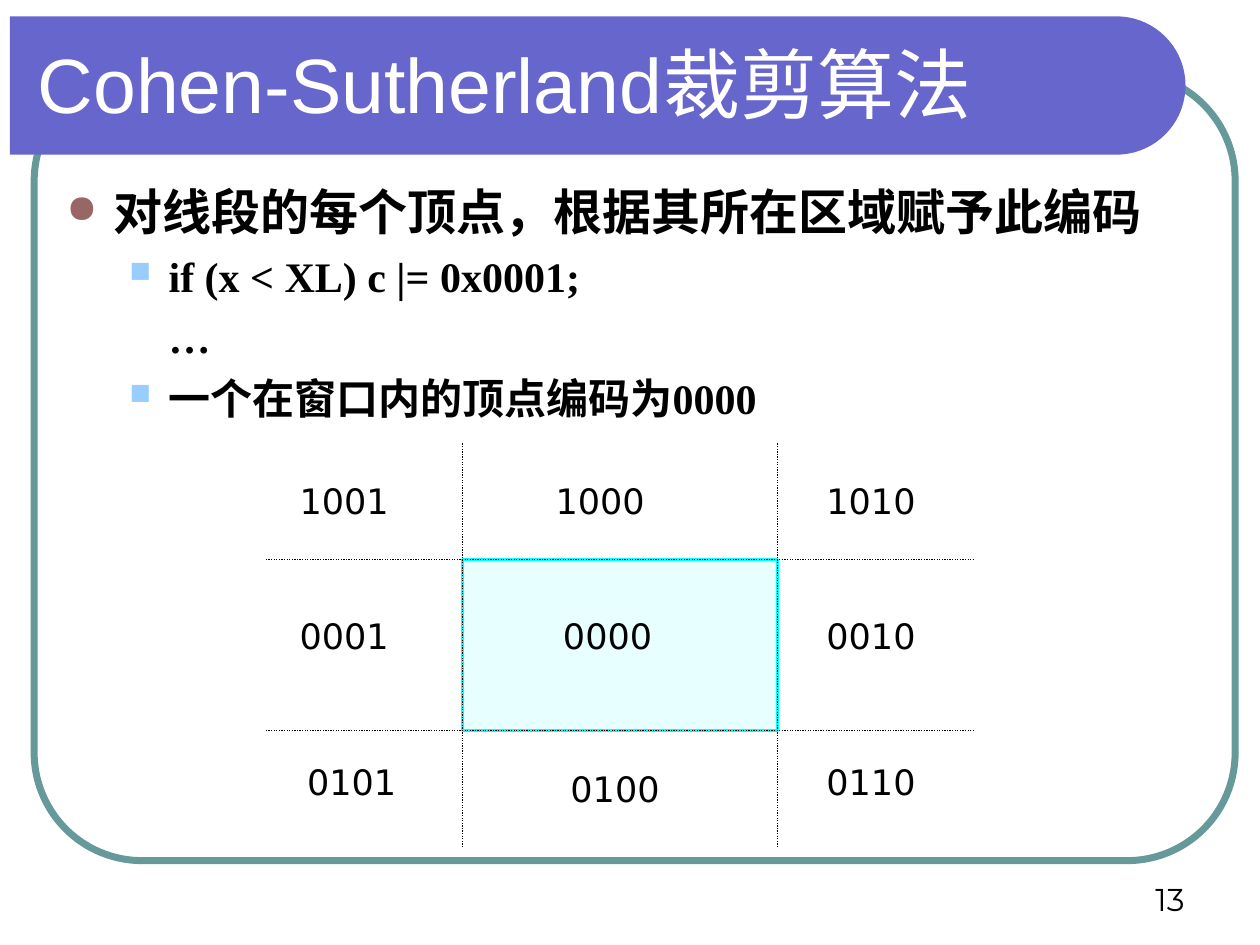
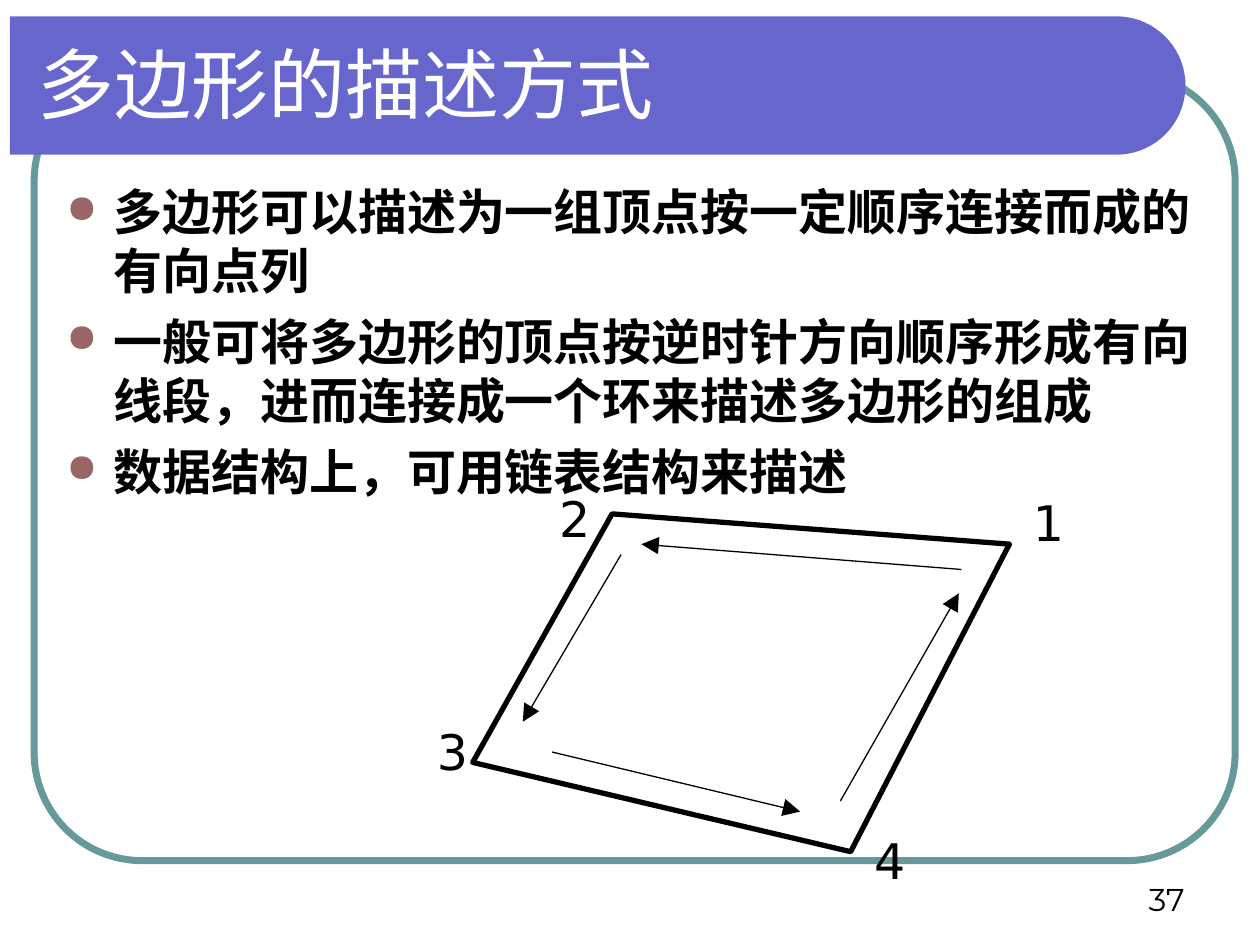
import math
from dataclasses import dataclass
from typing import NamedTuple, Optional

from lxml import etree
from pptx import Presentation
from pptx import util as u
from pptx.dml.color import RGBColor
from pptx.enum import dml, shapes, text
from pptx.oxml.ns import qn


@dataclass(frozen=True)
class Theme:
    ink: str = "000000"
    paper: str = "FFFFFF"
    band: str = "6666CC"
    frame: str = "669999"
    window_fill: str = "CCFFFF"
    window_edge: str = "00FFFF"
    title_font: str = "Arial"
    body_font: str = "Times New Roman"
    label_font: str = "DejaVu Sans"
    number_font: str = "Montserrat"
    title_size: int = 44
    vertex_size: int = 28
    code_size: int = 20
    number_size: int = 18
    thin: float = 0.75


THEME = Theme()


class Point(NamedTuple):
    x: float
    y: float


class Box(NamedTuple):
    left: float
    top: float
    width: float
    height: float


class Level(NamedTuple):
    size: int
    margin: float
    indent: float
    space_before: int
    bullet: Optional[str] = None
    bullet_color: str = ""
    bullet_percent: int = 100


class Item(NamedTuple):
    text: str
    level: Level


class Label(NamedTuple):
    text: str
    left: float
    top: float


class Arrow(NamedTuple):
    start: Point
    end: Point


POINT = Level(28, 0.95, -0.95, 7, "●", "996666", 80)
SUBPOINT = Level(24, 2.06, -0.79, 6, "■", "99CCFF", 70)
CONTINUED = Level(24, 2.06, 0, 6)

FRAME = Box(0.69, 1.47, 24.21, 15.88)
BAND = Box(0.2, 0.33, 23.7, 2.79)
TITLE = Box(0.51, 0.33, 23.32, 2.67)
BODY = Box(1.09, 3.53, 23.39, 13.61)
NUMBER = Box(18.21, 17.35, 5.92, 1.27)
RULE = Arrow(Point(0.86, 3.38), Point(23.29, 3.38))

WINDOW = Box(9.32, 11.28, 6.35, 3.45)
GRID = Box(5.36, 8.94, 14.27, 8.13)
REGION_CODES = [
    Label("1001", 5.79, 9.55), Label("1000", 10.95, 9.55), Label("1010", 16.41, 9.55),
    Label("0001", 5.79, 12.27), Label("0000", 11.1, 12.27), Label("0010", 16.41, 12.27),
    Label("0101", 5.94, 15.21), Label("0100", 11.25, 15.34), Label("0110", 16.41, 15.21),
]

VERTICES = [Point(12.34, 10.36), Point(9.53, 15.37), Point(17.15, 17.17), Point(20.35, 10.97)]
VERTEX_NUMBERS = [
    Label("2", 11.02, 9.73), Label("3", 8.56, 14.43),
    Label("4", 17.37, 16.61), Label("1", 20.57, 9.8),
]
DIRECTIONS = [
    Arrow(Point(12.52, 11.18), Point(10.54, 14.55)),
    Arrow(Point(11.13, 15.16), Point(16.13, 16.36)),
    Arrow(Point(16.94, 16.15), Point(19.33, 11.96)),
    Arrow(Point(19.38, 11.48), Point(12.93, 10.97)),
]


def rgb(color: str) -> RGBColor:
    return RGBColor.from_string(color)


def cm(lengths) -> list:
    return [u.Cm(length) for length in lengths]


def paint(shape, fill: Optional[str] = None, line: Optional[str] = None, width: float = 1) -> None:
    shape.shadow.inherit = False
    if fill:
        shape.fill.solid()
        shape.fill.fore_color.rgb = rgb(fill)
    else:
        shape.fill.background()
    if line:
        shape.line.color.rgb = rgb(line)
        shape.line.width = u.Pt(width)
    else:
        shape.line.fill.background()


def add_outline(slide, points: list[Point]):
    """Build a closed freeform through the points."""
    builder = slide.shapes.build_freeform(*cm(points[0]))
    builder.add_line_segments([cm(point) for point in points[1:]], close=True)
    return builder.convert_to_shape()


def add_line(slide, start: Point, end: Point, color: str = THEME.ink, width: float = THEME.thin):
    line = slide.shapes.add_connector(shapes.MSO_CONNECTOR.STRAIGHT, *cm(start), *cm(end))
    line.line.color.rgb = rgb(color)
    line.line.width = u.Pt(width)
    etree.SubElement(line.element.spPr, qn("a:effectLst"))
    return line


def add_arrow(slide, arrow: Arrow) -> None:
    line = add_line(slide, *arrow)
    etree.SubElement(line.line._get_or_add_ln(), qn("a:tailEnd"), type="triangle", w="lg", len="lg")


def add_run(paragraph, words: str, font: str, size: int, color: str, bold: bool = False) -> None:
    run = paragraph.add_run()
    run.text = words
    run.font.name = font
    run.font.size = u.Pt(size)
    run.font.bold = bold
    run.font.color.rgb = rgb(color)


def add_frame(slide, box: Box, anchor=text.MSO_ANCHOR.TOP, wrap: bool = True):
    frame = slide.shapes.add_textbox(*cm(box)).text_frame
    frame.word_wrap = wrap
    frame.vertical_anchor = anchor
    return frame


def add_label(slide, label: Label, width: float, height: float, size: int, wrap: bool) -> None:
    frame = add_frame(slide, Box(label.left, label.top, width, height), wrap=wrap)
    add_run(frame.paragraphs[0], label.text, THEME.label_font, size, THEME.ink)


def set_level(paragraph, level: Level, first: bool) -> None:
    paragraph.space_before = u.Pt(0 if first else level.space_before)
    properties = paragraph._p.get_or_add_pPr()
    properties.set("marL", str(u.Cm(level.margin)))
    properties.set("indent", str(u.Cm(level.indent)))
    if level.bullet:
        color = etree.SubElement(properties, qn("a:buClr"))
        etree.SubElement(color, qn("a:srgbClr"), val=level.bullet_color)
        etree.SubElement(properties, qn("a:buSzPct"), val=str(level.bullet_percent * 1000))
        etree.SubElement(properties, qn("a:buChar"), char=level.bullet)


def add_body(slide, items: list[Item]) -> None:
    frame = add_frame(slide, BODY)
    for index, item in enumerate(items):
        paragraph = frame.add_paragraph() if index else frame.paragraphs[0]
        set_level(paragraph, item.level, first=index == 0)
        add_run(paragraph, item.text, THEME.body_font, item.level.size, THEME.ink, bold=True)


def add_band(slide) -> None:
    """Draw the title band, square at the left and half round at the right."""
    radius = BAND.height / 2
    center = Point(BAND.left + BAND.width - radius, BAND.top + radius)
    angles = [math.radians(degrees) for degrees in range(-90, 91, 5)]
    arc = [Point(center.x + radius * math.cos(a), center.y + radius * math.sin(a)) for a in angles]
    corners = [Point(BAND.left, BAND.top + BAND.height), Point(BAND.left, BAND.top)]
    paint(add_outline(slide, arc + corners), fill=THEME.band)


def add_page(deck, title: str, number: int, items: list[Item]):
    slide = deck.slides.add_slide(deck.slide_layouts[6])
    slide.background.fill.solid()
    slide.background.fill.fore_color.rgb = rgb(THEME.paper)
    border = slide.shapes.add_shape(shapes.MSO_SHAPE.ROUNDED_RECTANGLE, *cm(FRAME))
    border.adjustments[0] = 0.137
    paint(border, line=THEME.frame, width=4)
    add_band(slide)
    add_line(slide, *RULE, color=THEME.paper, width=3)
    heading = add_frame(slide, TITLE, text.MSO_ANCHOR.MIDDLE).paragraphs[0]
    add_run(heading, title, THEME.title_font, THEME.title_size, THEME.paper)
    add_body(slide, items)
    footer = add_frame(slide, NUMBER, text.MSO_ANCHOR.BOTTOM).paragraphs[0]
    footer.alignment = text.PP_ALIGN.RIGHT
    add_run(footer, str(number), THEME.number_font, THEME.number_size, THEME.ink)
    return slide


def add_region_grid(slide) -> None:
    window = slide.shapes.add_shape(shapes.MSO_SHAPE.RECTANGLE, *cm(WINDOW))
    paint(window, THEME.window_fill, THEME.window_edge, 1.5)
    fill_color = window.element.spPr.find(qn("a:solidFill"))[0]
    etree.SubElement(fill_color, qn("a:alpha"), val="46000")
    borders = [
        Arrow(Point(GRID.left, y), Point(GRID.left + GRID.width, y))
        for y in (WINDOW.top, WINDOW.top + WINDOW.height)
    ] + [
        Arrow(Point(x, GRID.top), Point(x, GRID.top + GRID.height))
        for x in (WINDOW.left, WINDOW.left + WINDOW.width)
    ]
    for border in borders:
        add_line(slide, *border).line.dash_style = dml.MSO_LINE.ROUND_DOT
    for code in REGION_CODES:
        add_label(slide, code, 2.95, 1.12, THEME.code_size, wrap=True)


def add_polygon(slide) -> None:
    paint(add_outline(slide, VERTICES), line=THEME.ink, width=3)
    for number in VERTEX_NUMBERS:
        add_label(slide, number, 1.07, 1.45, THEME.vertex_size, wrap=False)
    for direction in DIRECTIONS:
        add_arrow(slide, direction)


def main() -> None:
    deck = Presentation()
    deck.slide_width, deck.slide_height = u.Cm(25.4), u.Cm(19.05)
    clipping = add_page(deck, "Cohen-Sutherland裁剪算法", 13, [
        Item("对线段的每个顶点，根据其所在区域赋予此编码", POINT),
        Item("if (x < XL) c |= 0x0001;", SUBPOINT),
        Item("…", CONTINUED),
        Item("一个在窗口内的顶点编码为0000", SUBPOINT),
    ])
    add_region_grid(clipping)
    description = add_page(deck, "多边形的描述方式", 37, [
        Item("多边形可以描述为一组顶点按一定顺序连接而成的有向点列", POINT),
        Item("一般可将多边形的顶点按逆时针方向顺序形成有向线段，进而连接成一个环来描述多边形的组成", POINT),
        Item("数据结构上，可用链表结构来描述", POINT),
    ])
    add_polygon(description)
    deck.save("out.pptx")


if __name__ == "__main__":
    main()
